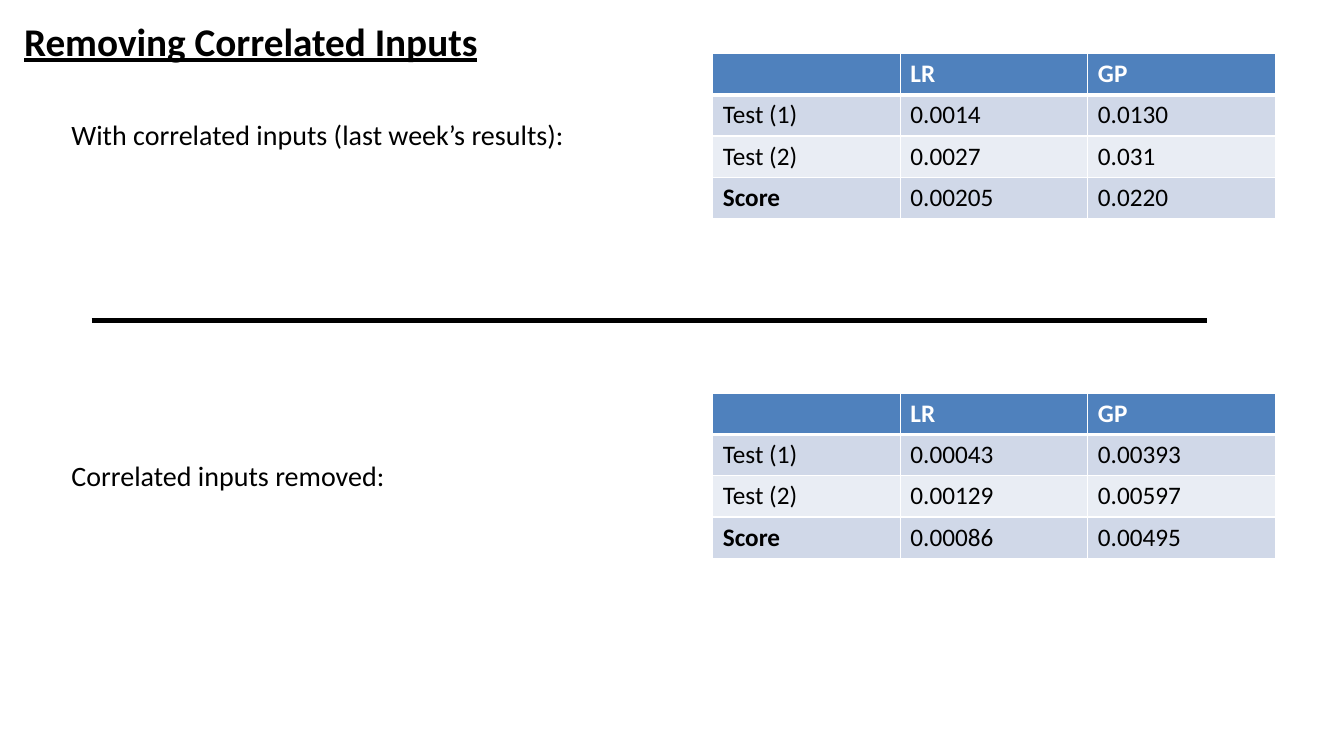
from dataclasses import dataclass

from lxml.etree import SubElement
from pptx import Presentation
from pptx.dml.color import RGBColor
from pptx.enum.shapes import MSO_CONNECTOR
from pptx.enum.text import MSO_AUTO_SIZE
from pptx.oxml.ns import qn
from pptx.slide import Slide
from pptx.table import _Cell
from pptx.text.text import _Paragraph
from pptx.util import Inches, Pt

BLACK = RGBColor(0x00, 0x00, 0x00)
WHITE = RGBColor(0xFF, 0xFF, 0xFF)
HEADER_BLUE = RGBColor(0x4F, 0x81, 0xBD)
BAND_DARK = RGBColor(0xD0, 0xD8, 0xE8)
BAND_LIGHT = RGBColor(0xE9, 0xED, 0xF4)

FONT = "Calibri"
TABLE_LEFT = 7.07
COLUMN_WIDTH = 1.86
ROW_HEIGHT = 0.41
HEADINGS = ("", "LR", "GP")


@dataclass(frozen=True)
class Label:
    wording: str
    left: float
    top: float
    width: float
    height: float
    size: int
    title: bool = False


@dataclass(frozen=True)
class Comparison:
    label: Label
    table_top: float
    scores: tuple[tuple[str, str, str], ...]


TITLE = Label("Removing Correlated Inputs", 0.14, 0.12, 7.42, 0.57, 28, True)

COMPARISONS = (
    Comparison(
        Label("With correlated inputs (last week’s results):", 0.61, 1.12, 6.54, 0.44, 20),
        0.53,
        (
            ("Test (1)", "0.0014", "0.0130"),
            ("Test (2)", "0.0027", "0.031"),
            ("Score", "0.00205", "0.0220"),
        ),
    ),
    Comparison(
        Label("Correlated inputs removed:", 0.61, 4.5, 6.54, 0.44, 20),
        3.9,
        (
            ("Test (1)", "0.00043", "0.00393"),
            ("Test (2)", "0.00129", "0.00597"),
            ("Score", "0.00086", "0.00495"),
        ),
    ),
)


def write_run(
    paragraph: _Paragraph,
    wording: str,
    size: int,
    color: RGBColor = BLACK,
    bold: bool = False,
    underline: bool = False,
) -> None:
    run = paragraph.add_run()
    run.text = wording
    run.font.name = FONT
    run.font.size = Pt(size)
    run.font.bold = bold
    run.font.underline = underline
    run.font.color.rgb = color


def draw_label(slide: Slide, label: Label) -> None:
    box = slide.shapes.add_textbox(
        Inches(label.left), Inches(label.top), Inches(label.width), Inches(label.height)
    )
    box.text_frame.word_wrap = True
    box.text_frame.auto_size = MSO_AUTO_SIZE.SHAPE_TO_FIT_TEXT
    write_run(
        box.text_frame.paragraphs[0],
        label.wording,
        label.size,
        bold=label.title,
        underline=label.title,
    )


def draw_borders(cell: _Cell, top: int, bottom: int) -> None:
    properties = cell._tc.get_or_add_tcPr()
    for side, points in (("L", 1), ("R", 1), ("T", top), ("B", bottom)):
        border = SubElement(properties, qn(f"a:ln{side}"), w=str(Pt(points)))
        fill = SubElement(border, qn("a:solidFill"))
        SubElement(fill, qn("a:srgbClr"), val=str(WHITE))


def draw_scores(slide: Slide, comparison: Comparison) -> None:
    rows = (HEADINGS, *comparison.scores)
    table = slide.shapes.add_table(
        len(rows),
        len(HEADINGS),
        Inches(TABLE_LEFT),
        Inches(comparison.table_top),
        Inches(COLUMN_WIDTH * len(HEADINGS)),
        Inches(ROW_HEIGHT * len(rows)),
    ).table
    for column in table.columns:
        column.width = Inches(COLUMN_WIDTH)
    for row_index, row in enumerate(rows):
        table.rows[row_index].height = Inches(ROW_HEIGHT)
        header = row_index == 0
        band = BAND_DARK if row_index % 2 else BAND_LIGHT
        for column_index, wording in enumerate(row):
            cell = table.cell(row_index, column_index)
            draw_borders(cell, top=3 if row_index == 1 else 1, bottom=3 if header else 1)
            cell.fill.solid()
            cell.fill.fore_color.rgb = HEADER_BLUE if header else band
            if wording:
                write_run(
                    cell.text_frame.paragraphs[0],
                    wording,
                    18,
                    color=WHITE if header else BLACK,
                    bold=header or wording == "Score",
                )


def draw_divider(slide: Slide) -> None:
    divider = slide.shapes.add_connector(
        MSO_CONNECTOR.STRAIGHT, Inches(0.91), Inches(3.18), Inches(11.97), Inches(3.18)
    )
    divider.line.color.rgb = BLACK
    divider.line.width = Pt(3)
    SubElement(divider._element.spPr, qn("a:effectLst"))


def main() -> None:
    presentation = Presentation()
    presentation.slide_width = Inches(13.33)
    presentation.slide_height = Inches(7.5)
    slide = presentation.slides.add_slide(presentation.slide_layouts[6])
    draw_divider(slide)
    for comparison in COMPARISONS:
        draw_scores(slide, comparison)
        draw_label(slide, comparison.label)
    draw_label(slide, TITLE)
    presentation.save("out.pptx")


if __name__ == "__main__":
    main()
